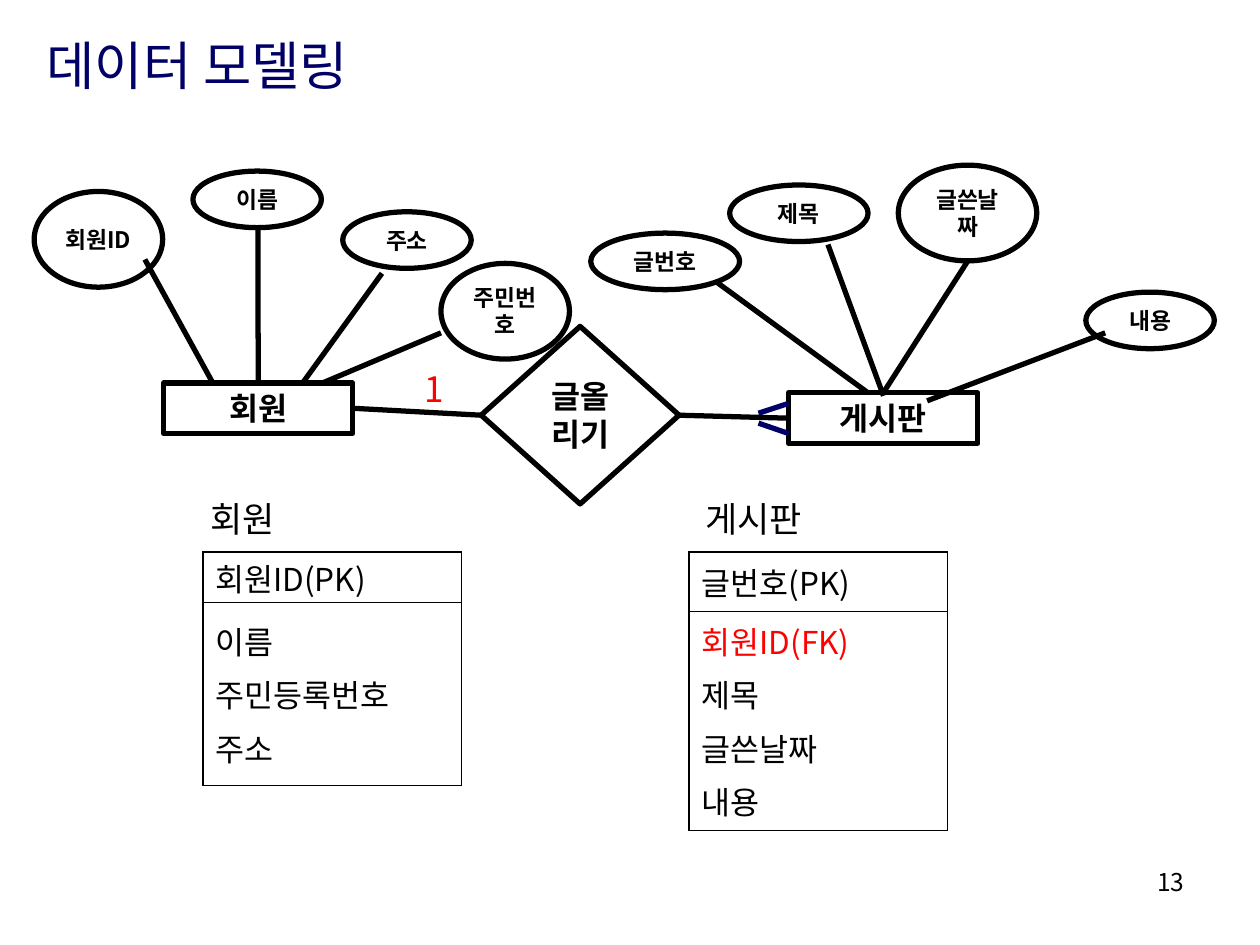
import pptx
import pptx.util
import pptx.dml.color
import pptx.enum.shapes
import pptx.enum.text
import pptx.oxml.ns
import lxml.etree

FONT = "Noto Sans CJK KR"
COLORS = {"black": "000000", "navy": "000066", "red": "FF0000"}
LINE_WIDTH = 3
SHAPES = pptx.enum.shapes.MSO_SHAPE
ALIGN = pptx.enum.text.PP_ALIGN
ANCHOR = pptx.enum.text.MSO_ANCHOR
Cm = pptx.util.Cm
Pt = pptx.util.Pt

ENTITIES = {
    "회원": (3.3, 7.72, 3.81, 1.02),
    "게시판": (15.9, 7.92, 3.81, 1.02),
}
RELATION = ("글올리기", (9.7, 6.58, 3.99, 3.58))
ATTRIBUTES = [
    ("회원ID", (0.69, 3.86, 2.59, 1.93)),
    ("이름", (3.89, 3.45, 2.59, 1.14)),
    ("주소", (6.91, 4.27, 2.59, 1.14)),
    ("주민번호", (8.89, 5.31, 2.59, 1.93)),
    ("글번호", (11.91, 4.7, 3, 1.14)),
    ("제목", (14.71, 3.73, 2.79, 1.14)),
    ("글쓴날짜", (18.11, 3.33, 2.79, 1.93)),
    ("내용", (21.89, 5.89, 2.59, 1.14)),
]
ATTRIBUTE_LINES = [
    (2.92, 5.23, 4.29, 7.72),
    (7.7, 5.51, 6.1, 7.72),
    (8.89, 6.71, 6.5, 7.72),
    (14.45, 5.69, 17.5, 7.92),
    (16.69, 4.93, 17.81, 7.98),
    (22.28, 6.71, 18.69, 8.08),
]
TOP_LINES = [
    ((5.2, 4.6), "회원"),
    ((19.51, 5.26), "게시판"),
]
CROW_FOOT = [(15.29, 8.33, 15.9, 8.13), (15.29, 8.53, 15.9, 8.74)]
TABLE_TOP = 11.13
TABLE_WIDTH = 5.21
TABLES = [
    (4.09, (1.02, 3.68), [["회원ID(PK)"], ["이름", "주민등록번호", "주소"]]),
    (13.89, (1.19, 4.42),
     [["글번호(PK)"], ["회원ID(FK)", "제목", "글쓴날짜", "내용"]]),
]
LABELS = [
    ("데이터 모델링", (0.69, 0.53, 24, 1.55),
     dict(size=30, color="navy", anchor=ANCHOR.MIDDLE)),
    ("13", (18.21, 17.35, 5.92, 1.32), dict(size=14, align=ALIGN.RIGHT)),
]
CAPTION = dict(size=20, align=ALIGN.CENTER, before=12.5, spacing=0.7)
CAPTIONS = [
    ("1", (8.31, 7.52, 0.61, 0.86), "red"),
    ("회원", (3.89, 10.13, 2.01, 0.86), "black"),
    ("게시판", (13.69, 10.13, 3, 0.86), "black"),
]


def rgb(name):
    return pptx.dml.color.RGBColor.from_string(COLORS[name])


def write(frame, lines, size=18, color="black", bold=False, align=ALIGN.LEFT,
          anchor=ANCHOR.TOP, before=0, spacing=None):
    frame.word_wrap = True
    frame.vertical_anchor = anchor
    for index, line in enumerate(lines):
        para = frame.paragraphs[0] if index == 0 else frame.add_paragraph()
        para.alignment = align
        para.space_before = Pt(before)
        if spacing:
            para.line_spacing = spacing
        span = para.add_run()
        span.text = line
        span.font.name = FONT
        span.font.size = Pt(size)
        span.font.bold = bold
        span.font.color.rgb = rgb("red" if "(FK)" in line else color)
        east_asian = lxml.etree.SubElement(
            span.font._element, pptx.oxml.ns.qn("a:ea"))
        east_asian.set("typeface", FONT)


def add_label(page, text, place, **style):
    box = page.shapes.add_textbox(*map(Cm, place))
    write(box.text_frame, [text], **style)


def add_node(page, kind, text, place, size):
    node = page.shapes.add_shape(kind, *map(Cm, place))
    node.shadow.inherit = False
    node.fill.background()
    node.line.color.rgb = rgb("black")
    node.line.width = Pt(LINE_WIDTH)
    write(node.text_frame, [text], size=size, bold=True,
          align=ALIGN.CENTER, anchor=ANCHOR.MIDDLE)
    return node


def add_line(page, ends=(0, 0, 0, 0), color="black", begin=None, end=None):
    line = page.shapes.add_connector(
        pptx.enum.shapes.MSO_CONNECTOR.STRAIGHT, *map(Cm, ends))
    line.line.color.rgb = rgb(color)
    line.line.width = Pt(LINE_WIDTH)
    lxml.etree.SubElement(
        line._element.spPr, pptx.oxml.ns.qn("a:effectLst"))
    if begin:
        line.begin_connect(*begin)
    if end:
        line.end_connect(*end)


def add_border(cell, side, width):
    qn = pptx.oxml.ns.qn
    properties = cell._tc.get_or_add_tcPr()
    border = lxml.etree.SubElement(
        properties, qn("a:ln" + side), w=str(int(Pt(width))))
    fill = lxml.etree.SubElement(border, qn("a:solidFill"))
    lxml.etree.SubElement(fill, qn("a:srgbClr"), val=COLORS["black"])


def add_schema(page, left, heights, rows):
    frame = page.shapes.add_table(
        len(rows), 1, Cm(left), Cm(TABLE_TOP), Cm(TABLE_WIDTH),
        Cm(sum(heights)))
    table = frame.table
    table.first_row = False
    table.horz_banding = False
    for index, (height, lines) in enumerate(zip(heights, rows)):
        table.rows[index].height = Cm(height)
        cell = table.cell(index, 0)
        cell.margin_top = cell.margin_bottom = 0
        cell.vertical_anchor = ANCHOR.MIDDLE
        top_width = 1.08 if index == 0 else 0.45
        for side, width in (("L", 1.08), ("R", 0.45),
                            ("T", top_width), ("B", 0.45)):
            add_border(cell, side, width)
        cell.fill.background()
        write(cell.text_frame, lines, before=4.5, anchor=ANCHOR.MIDDLE)


def main():
    deck = pptx.Presentation()
    deck.slide_width = Cm(25.4)
    deck.slide_height = Cm(19.05)
    page = deck.slides.add_slide(deck.slide_layouts[6])

    for text, place, style in LABELS:
        add_label(page, text, place, **style)
    entities = {name: add_node(page, SHAPES.RECTANGLE, name, place, 18)
                for name, place in ENTITIES.items()}
    for text, place in ATTRIBUTES:
        add_node(page, SHAPES.OVAL, text, place, 13)
    relation = add_node(page, SHAPES.FLOWCHART_DECISION, *RELATION, 18)

    for ends in ATTRIBUTE_LINES:
        add_line(page, ends)
    for start, name in TOP_LINES:
        add_line(page, start + start, end=(entities[name], 0))
    add_line(page, begin=(entities["회원"], 3), end=(relation, 1))
    add_line(page, begin=(relation, 3), end=(entities["게시판"], 1))
    for ends in CROW_FOOT:
        add_line(page, ends, color="navy")

    for text, place, color in CAPTIONS:
        add_label(page, text, place, color=color, **CAPTION)
    for left, heights, rows in TABLES:
        add_schema(page, left, heights, rows)
    deck.save("out.pptx")


if __name__ == "__main__":
    main()
